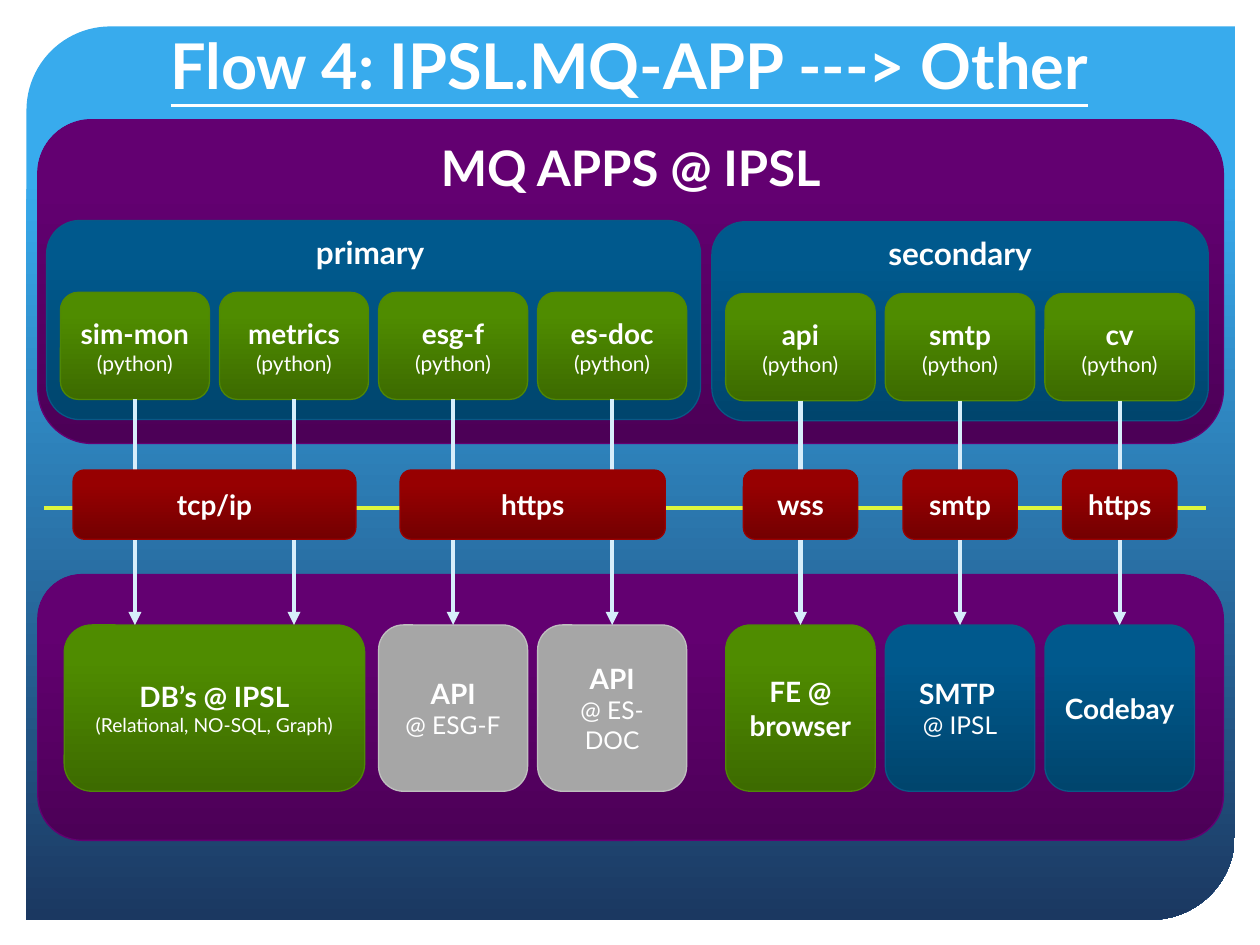
from collections import namedtuple

from lxml import etree
from pptx import Presentation
from pptx.dml.color import RGBColor
from pptx.enum.shapes import MSO_CONNECTOR, MSO_SHAPE
from pptx.enum.text import MSO_ANCHOR, PP_ALIGN
from pptx.oxml.ns import qn
from pptx.util import Inches, Pt

ROUNDED = MSO_SHAPE.ROUNDED_RECTANGLE
DIAGONAL = MSO_SHAPE.ROUND_2_DIAG_RECTANGLE
STRAIGHT = MSO_CONNECTOR.STRAIGHT
CENTER = PP_ALIGN.CENTER
TOP, MIDDLE, BOTTOM = MSO_ANCHOR.TOP, MSO_ANCHOR.MIDDLE, MSO_ANCHOR.BOTTOM
TOP_SIDE, BOTTOM_SIDE = 0, 2

CELL = Inches(1)
GRID_COLUMNS, GRID_ROWS = 10, 7.5
MARGIN, GAP = 0.11, 0.08

Box = namedtuple("Box", "left top width height")
Style = namedtuple("Style", "low high shift line")

PURPLE = Style("4C0057", "630071", 0.8, "640072")
BLUE = Style("00456D", "00598D", 0.8, "095886")
GREEN = Style("3D6B00", "4F8C00", 0.8, "4F8706")
RED = Style("740001", "970001", 0.8, "990001")
GRAY = Style("A6A6A6", None, 0, "BFBFBF")

TITLE = {"size": Pt(36), "bold": True, "underline": True}
HEADING = {"size": Pt(28), "bold": True}
SUBHEADING = {"size": Pt(18), "bold": True}
NAME = {"size": Pt(16), "bold": True}
DETAIL = {"size": Pt(14), "bold": False}
SMALL = {"size": Pt(12), "bold": False}
TINY = {"size": Pt(11), "bold": False}

PRIMARY = ["sim-mon", "metrics", "esg-f", "es-doc"]
SECONDARY = ["api", "smtp", "cv"]
TARGETS = [
    (0, 1, 0.03, GREEN, [("DB’s @ IPSL", NAME), ("(Relational, NO-SQL, Graph)", TINY)]),
    (2, 2, 0, GRAY, [("API", NAME), ("@ ESG-F", DETAIL)]),
    (3, 3, 0, GRAY, [("API", NAME), ("@ ES-DOC", DETAIL)]),
    (4, 4, 0, GREEN, [("FE @ browser", NAME)]),
    (5, 5, 0, BLUE, [("SMTP ", NAME), ("@ IPSL", DETAIL)]),
    (6, 6, 0, BLUE, [("Codebay", NAME)]),
]
PROTOCOLS = [
    (0, 1, 0.1, "tcp/ip"),
    (2, 3, 0.17, "https"),
    (4, 4, 0.14, "wss"),
    (5, 5, 0.14, "smtp"),
    (6, 6, 0.14, "https"),
]


def color(value):
    """Turn a hex string into a colour."""
    return RGBColor.from_string(value)


def place(box):
    """Turn grid units into slide lengths."""
    return [round(value * CELL) for value in box]


def fill_gradient(shape, first, last, start, end, angle):
    """Fill a shape with a gradient between two colours."""
    shape.fill.gradient()
    shape.fill.gradient_angle = angle
    for stop, value, position in zip(shape.fill.gradient_stops, (first, last), (start, end)):
        stop.color.rgb = color(value)
        stop.position = position


def write(shape, lines, anchor):
    """Write centred white paragraphs, each with its own format."""
    frame = shape.text_frame
    frame.word_wrap = True
    frame.vertical_anchor = anchor
    for index, (text, form) in enumerate(lines):
        para = frame.add_paragraph() if index else frame.paragraphs[0]
        para.alignment = CENTER
        span = para.add_run()
        span.text = text
        span.font.name = "Lato"
        span.font.color.rgb = color("FFFFFF")
        for key, value in form.items():
            setattr(span.font, key, value)


def add_label(page, box, text, form, anchor=TOP):
    """Add a line of text without a frame."""
    write(page.shapes.add_textbox(*place(box)), [(text, form)], anchor)


def add_block(page, box, style, lines=()):
    """Add a rounded block with optional centred text."""
    shape = page.shapes.add_shape(ROUNDED, *place(box))
    shape.shadow.inherit = False
    if style.high:
        fill_gradient(shape, style.low, style.high, 0, style.shift, 90)
    else:
        shape.fill.solid()
        shape.fill.fore_color.rgb = color(style.low)
    shape.line.color.rgb = color(style.line)
    shape.line.width = Pt(0.75)
    write(shape, lines, MIDDLE)
    return shape


def add_line(page, start, end, value, arrow=False):
    """Add a straight line, with an arrowhead if asked."""
    line = page.shapes.add_connector(STRAIGHT, *place(start + end))
    line.line.color.rgb = color(value)
    line.line.width = Pt(2.5)
    if arrow:
        etree.SubElement(line.line._get_or_add_ln(), qn("a:tailEnd"), type="triangle")
    etree.SubElement(line._element.spPr, qn("a:effectLst"))
    return line


def split_columns(box, count):
    """Split a box into equal columns, as left and width pairs."""
    width = (box.width - 2 * MARGIN - (count - 1) * GAP) / count
    return [(box.left + MARGIN + i * (width + GAP), width) for i in range(count)]


def span_box(columns, first, last, inset, top, height):
    """Return the box that covers a run of columns."""
    left = columns[first][0] + inset
    right = sum(columns[last]) - inset
    return Box(left, top, right - left, height)


def add_backdrop(page, box):
    """Add the backdrop with two rounded corners."""
    shape = page.shapes.add_shape(DIAGONAL, *place(box))
    shape.shadow.inherit = False
    shape.adjustments[0], shape.adjustments[1] = 0.094, 0
    fill_gradient(shape, "38ABED", "1B3861", 0.17, 1, 270)
    shape.line.fill.background()


def add_app_group(page, box, title, names):
    """Add a titled panel of apps and return its cards and columns."""
    add_block(page, box, BLUE)
    columns = split_columns(box, len(names))
    cards = []
    for index, name in enumerate(names):
        card = span_box(columns, index, index, 0, box.top + 0.57, 0.85)
        cards.append(add_block(page, card, GREEN, [(name, NAME), ("(python)", SMALL)]))
    add_label(page, Box(box.left, box.top + 0.05, box.width, 0.4), title, SUBHEADING)
    return cards, columns


def add_targets(page, box, columns):
    """Add the panel of targets and return the target of each column."""
    add_block(page, box, PURPLE)
    targets = {}
    for first, last, inset, style, lines in TARGETS:
        place_box = span_box(columns, first, last, inset, box.top + 0.4, 1.32)
        block = add_block(page, place_box, style, lines)
        targets.update({column: block for column in range(first, last + 1)})
    return targets


def add_flows(page, cards, targets):
    """Join each app to its target with an arrow."""
    shared = list(targets.values())
    for index, card in enumerate(cards):
        target = targets[index]
        x = (card.left + card.width / 2) / CELL
        start, end = (x, (card.top + card.height) / CELL), (x, target.top / CELL)
        arrow = add_line(page, start, end, "D7EEFB", arrow=True)
        arrow.begin_connect(card, BOTTOM_SIDE)
        if shared.count(target) == 1:
            arrow.end_connect(target, TOP_SIDE)


def add_protocols(page, box, columns):
    """Add the dividing line and the protocols on it."""
    middle = box.top + 0.3
    add_line(page, (box.left, middle), (box.left + box.width, middle), "DDF53D")
    for first, last, inset, name in PROTOCOLS:
        place_box = span_box(columns, first, last, inset, box.top, box.height)
        add_block(page, place_box, RED, [(name, NAME)])


def main():
    """Build the slide and save the deck."""
    deck = Presentation()
    deck.slide_width, deck.slide_height = place((GRID_COLUMNS, GRID_ROWS))
    page = deck.slides.add_slide(deck.slide_layouts[6])
    add_backdrop(page, Box(0.21, 0.21, 9.59, 7.09))
    add_label(page, Box(0.85, 0.31, 8.29, 0.55), "Flow 4: IPSL.MQ-APP ---> Other", TITLE, BOTTOM)
    add_block(page, Box(0.3, 0.95, 9.41, 2.57), PURPLE)
    add_label(page, Box(0.3, 1.04, 9.41, 0.57), "MQ APPS @ IPSL", HEADING)
    primary, left = add_app_group(page, Box(0.37, 1.75, 5.19, 1.58), "primary ", PRIMARY)
    secondary, right = add_app_group(page, Box(5.65, 1.76, 3.94, 1.58), "secondary", SECONDARY)
    columns = left + right
    targets = add_targets(page, Box(0.3, 4.56, 9.41, 2.11), columns)
    add_flows(page, primary + secondary, targets)
    add_protocols(page, Box(0.35, 3.73, 9.22, 0.55), columns)
    deck.save("out.pptx")


if __name__ == "__main__":
    main()
